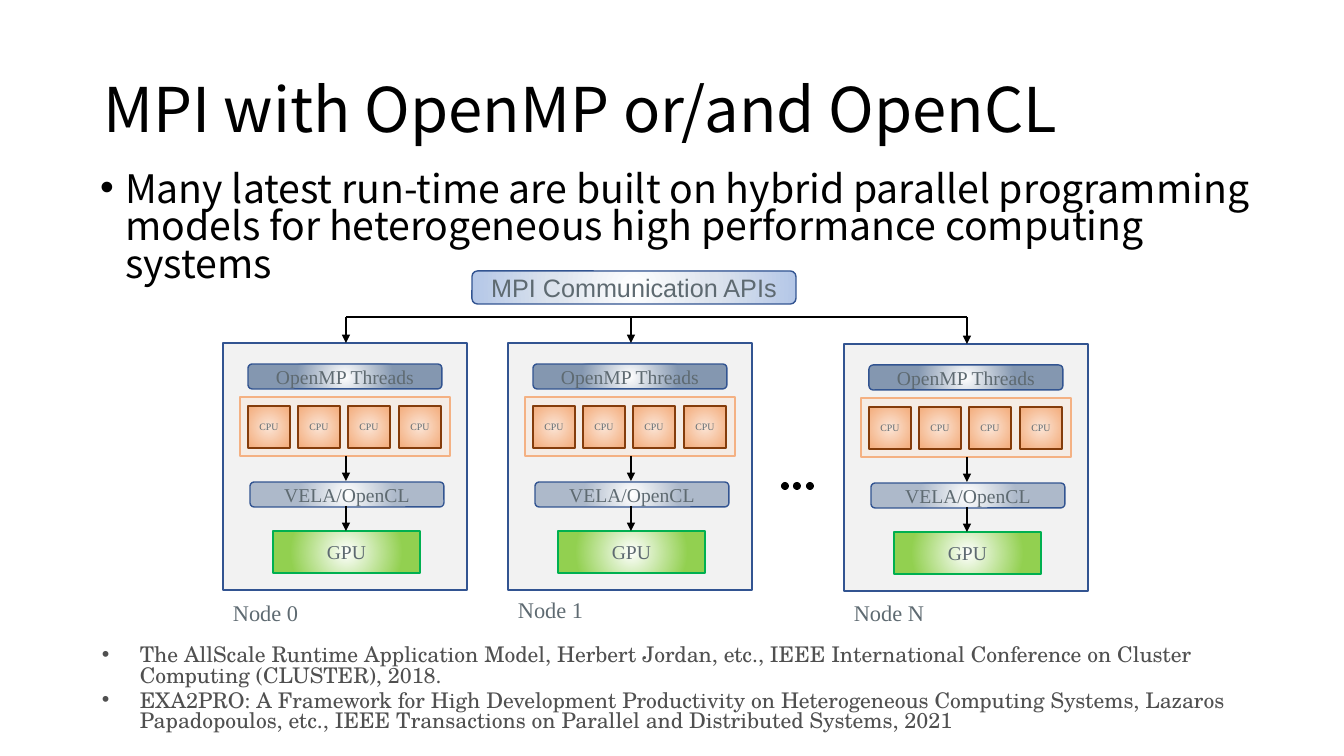
from dataclasses import dataclass
from typing import Any, Optional

import pptx
import pptx.dml.color
import pptx.enum.shapes
import pptx.enum.text
import pptx.oxml
import pptx.oxml.ns
import pptx.util
from lxml import etree

RGBColor = pptx.dml.color.RGBColor
Kind = pptx.enum.shapes.MSO_SHAPE
Align = pptx.enum.text.PP_ALIGN
Anchor = pptx.enum.text.MSO_ANCHOR
Pt = pptx.util.Pt
qn = pptx.oxml.ns.qn

SCALE = 914400 / 100.8  # EMU per pixel

BLACK = RGBColor(0x00, 0x00, 0x00)
WHITE = RGBColor(0xFF, 0xFF, 0xFF)
GREY = RGBColor(0x5E, 0x6A, 0x71)
DARK = RGBColor(0x50, 0x50, 0x50)
PALE = RGBColor(0xF2, 0xF2, 0xF2)
NAVY = RGBColor(0x32, 0x54, 0x91)
STEEL = RGBColor(0x84, 0x97, 0xB0)
MIST = RGBColor(0xAD, 0xB9, 0xCA)
ICE = RGBColor(0xDC, 0xE3, 0xED)
SKY = RGBColor(0xB4, 0xC7, 0xE7)
CREAM = RGBColor(0xFB, 0xE5, 0xD6)
PEACH = RGBColor(0xF4, 0xB1, 0x83)
BROWN = RGBColor(0x84, 0x3C, 0x0B)
LIME = RGBColor(0x92, 0xD0, 0x50)
GREEN = RGBColor(0x00, 0xB0, 0x50)

SANS = "Noto Sans CJK SC"
SERIF = "Times New Roman"
SCHOOL = "TeX Gyre Schola"

Box = tuple[int, int, int, int]
Stops = tuple[tuple[int, RGBColor], ...]


@dataclass(frozen=True)
class Font:
    name: str
    size: float
    color: RGBColor = GREY


@dataclass(frozen=True)
class Part:
    kind: Any
    box: Box
    stops: Stops  # one stop is a plain fill, more are radial
    line: Optional[RGBColor] = None
    text: str = ""
    font: Font = Font(SERIF, 14)
    alpha: int = 100


@dataclass(frozen=True)
class Node:
    name: str
    left: int
    top: int
    label: int  # top of the caption


def px(num: int) -> int:
    return round(num * SCALE)


def place(item: Any, box: Box) -> None:
    item.left, item.top, item.width, item.height = map(px, box)


def write(para: Any, text: str, font: Font) -> None:
    run = para.add_run()
    run.text = text
    run.font.name = font.name
    run.font.size = Pt(font.size)
    run.font.color.rgb = font.color


def bullet(para: Any, hang: int, before: float) -> None:
    para.line_spacing = 0.8
    para.space_before = Pt(before)
    props = para._p.get_or_add_pPr()
    props.set("marL", str(px(hang)))
    props.set("indent", str(-px(hang)))
    etree.SubElement(props, qn("a:buFont")).set("typeface", "Arial")
    etree.SubElement(props, qn("a:buChar")).set("char", "•")


def paint(shape: Any, stops: Stops, alpha: int) -> None:
    shape.fill.solid()
    shape.fill.fore_color.rgb = stops[0][1]
    solid = shape.element.spPr.find(qn("a:solidFill"))
    if alpha < 100:
        etree.SubElement(solid[0], qn("a:alpha")).set("val", str(alpha * 1000))
    if len(stops) > 1:
        marks = "".join(
            f'<a:gs pos="{pos * 1000}"><a:srgbClr val="{color}"/></a:gs>'
            for pos, color in stops)
        grad = pptx.oxml.parse_xml(
            f'<a:gradFill {pptx.oxml.ns.nsdecls("a")} rotWithShape="1">'
            f'<a:gsLst>{marks}</a:gsLst><a:path path="circle"><a:fillToRect '
            'l="50000" t="50000" r="50000" b="50000"/></a:path></a:gradFill>')
        shape.element.spPr.replace(solid, grad)


def draw(part: Part, left: int = 0, top: int = 0) -> None:
    x, y, wide, high = part.box
    shape = slide.shapes.add_shape(
        part.kind, *map(px, (left + x, top + y, wide, high)))
    shape.shadow.inherit = False
    paint(shape, part.stops, part.alpha)
    if part.line is None:
        shape.line.fill.background()
    else:
        shape.line.color.rgb = part.line
        shape.line.width = Pt(1)
    if part.text:
        frame = shape.text_frame
        frame.margin_left = frame.margin_right = 0
        frame.margin_top = frame.margin_bottom = 0
        frame.vertical_anchor = Anchor.MIDDLE
        frame.paragraphs[0].alignment = Align.CENTER
        write(frame.paragraphs[0], part.text, part.font)


def link(x: int, y: int, to_x: int, to_y: int, head: bool = True) -> None:
    wire = slide.shapes.add_connector(
        pptx.enum.shapes.MSO_CONNECTOR.STRAIGHT, *map(px, (x, y, to_x, to_y)))
    wire.line.color.rgb = BLACK
    wire.line.width = Pt(1)
    props = wire.element.spPr
    if head:
        line = props.find(qn("a:ln"))
        etree.SubElement(line, qn("a:tailEnd")).set("type", "triangle")
    etree.SubElement(props, qn("a:effectLst"))


def add_text(box: Box) -> Any:
    frame = slide.shapes.add_textbox(*map(px, box)).text_frame
    frame.word_wrap = True
    return frame


deck = pptx.Presentation()
deck.slide_width, deck.slide_height = px(1344), px(756)
slide = deck.slides.add_slide(deck.slide_layouts[1])

# Title and main point
title, body = slide.placeholders
place(title, (93, 40, 1159, 146))
title.text_frame.vertical_anchor = Anchor.MIDDLE
head = title.text_frame.paragraphs[0]
head.alignment = Align.LEFT
head.line_spacing = 0.9
write(head, "MPI with OpenMP or/and OpenCL", Font(SANS, 44, BLACK))

place(body, (90, 168, 1186, 92))
body.text_frame.auto_size = pptx.enum.text.MSO_AUTO_SIZE.NONE
point = body.text_frame.paragraphs[0]
bullet(point, 25, 10)
write(point, "Many latest run-time are built on hybrid parallel programming "
      "models for heterogeneous high performance computing systems",
      Font(SANS, 28, BLACK))

# Communication layer and its bus
draw(Part(Kind.ROUNDED_RECTANGLE, (472, 271, 324, 33),
          ((0, WHITE), (50, ICE), (100, SKY)), NAVY,
          "MPI Communication APIs", Font("Arial", 18)))

NODES = [Node("Node 0", 223, 343, 594), Node("Node 1", 508, 343, 591),
         Node("Node N", 844, 344, 594)]
MID, BUS = 123, 317
link(NODES[0].left + MID, BUS, NODES[-1].left + MID, BUS, head=False)

# Parts of a node, measured from its corner
HEAT = ((0, CREAM), (89, PEACH), (100, PEACH))
PARTS = [
    Part(Kind.RECTANGLE, (0, 0, 244, 247), ((0, PALE),), NAVY),
    Part(Kind.RECTANGLE, (17, 54, 210, 59), ((0, CREAM),), PEACH, alpha=44),
    *(Part(Kind.RECTANGLE, (25 + col * 151 // 3, 63, 42, 42), HEAT, BROWN,
           "CPU", Font(SERIF, 7)) for col in range(4)),
    Part(Kind.ROUNDED_RECTANGLE, (25, 21, 194, 25),
         ((0, WHITE), (50, STEEL), (100, STEEL)), NAVY, "OpenMP Threads"),
    Part(Kind.RECTANGLE, (50, 188, 147, 42),
         ((0, WHITE), (74, LIME), (100, LIME)), GREEN, "GPU"),
    Part(Kind.ROUNDED_RECTANGLE, (27, 139, 194, 25),
         ((0, WHITE), (50, MIST), (100, MIST)), NAVY, "VELA/OpenCL"),
]

for node in NODES:
    for part in PARTS:
        draw(part, node.left, node.top)
    mid = node.left + MID
    link(mid, BUS, mid, node.top)
    for start in (113, 163):
        link(mid, node.top + start, mid, node.top + start + 25)
    label = add_text((node.left, node.label, 101, 37))
    write(label.paragraphs[0], node.name, Font(SERIF, 16))

# Dots for the nodes between
for step in range(3):
    draw(Part(Kind.OVAL, (781 + step * 25 // 2, 482, 8, 8), ((0, BLACK),)))

# References
REFS = [
    "The AllScale Runtime Application Model, Herbert Jordan, etc., IEEE "
    "International Conference on Cluster Computing (CLUSTER), 2018.",
    "EXA2PRO: A Framework for High Development Productivity on Heterogeneous "
    "Computing Systems, Lazaros Papadopoulos, etc., IEEE Transactions on "
    "Parallel and Distributed Systems, 2021",
]
cites = add_text((92, 641, 1186, 104))
for rank, ref in enumerate(REFS):
    para = cites.add_paragraph() if rank else cites.paragraphs[0]
    bullet(para, 38, 3)
    write(para, ref, Font(SCHOOL, 15.4, DARK))

deck.save("out.pptx")
